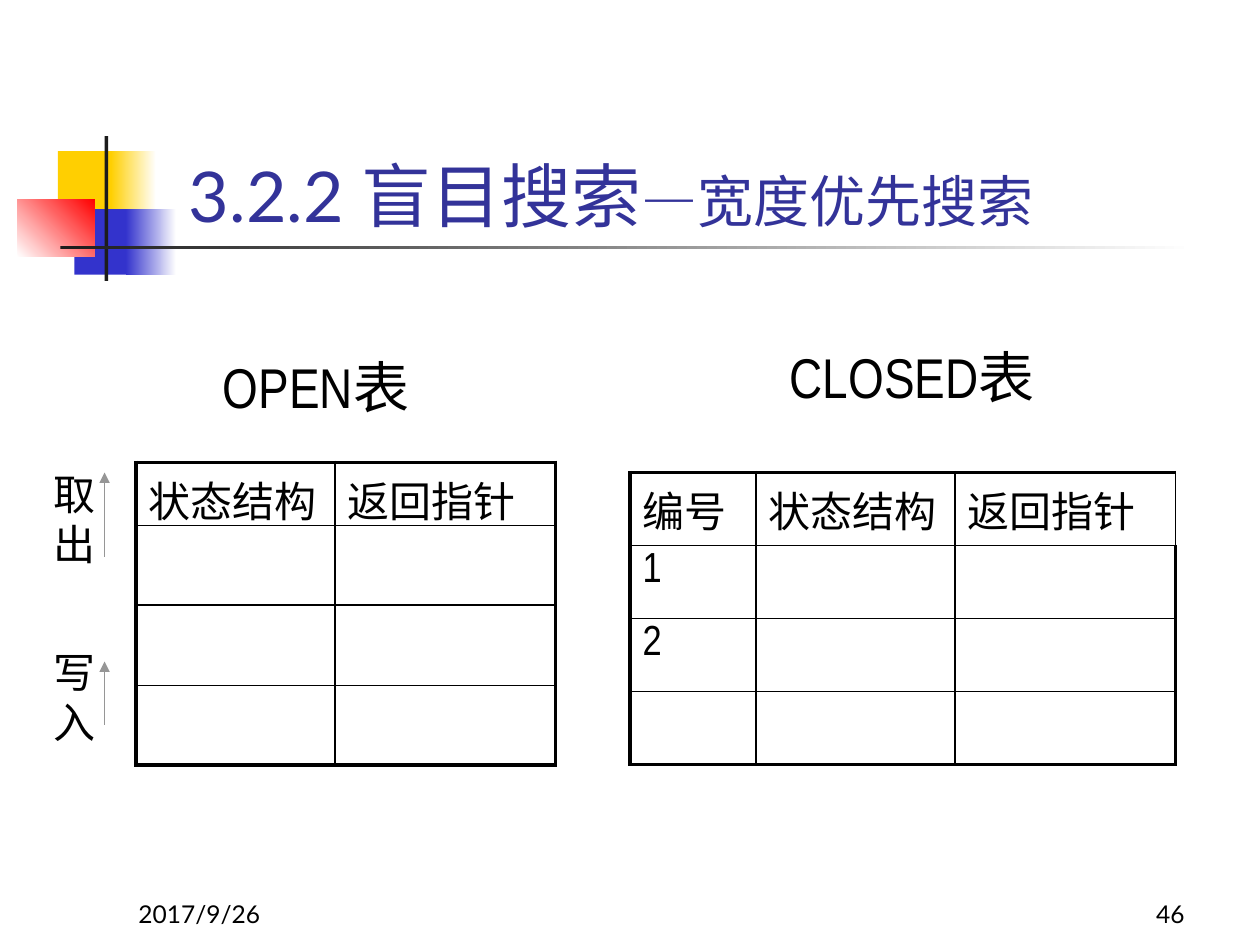
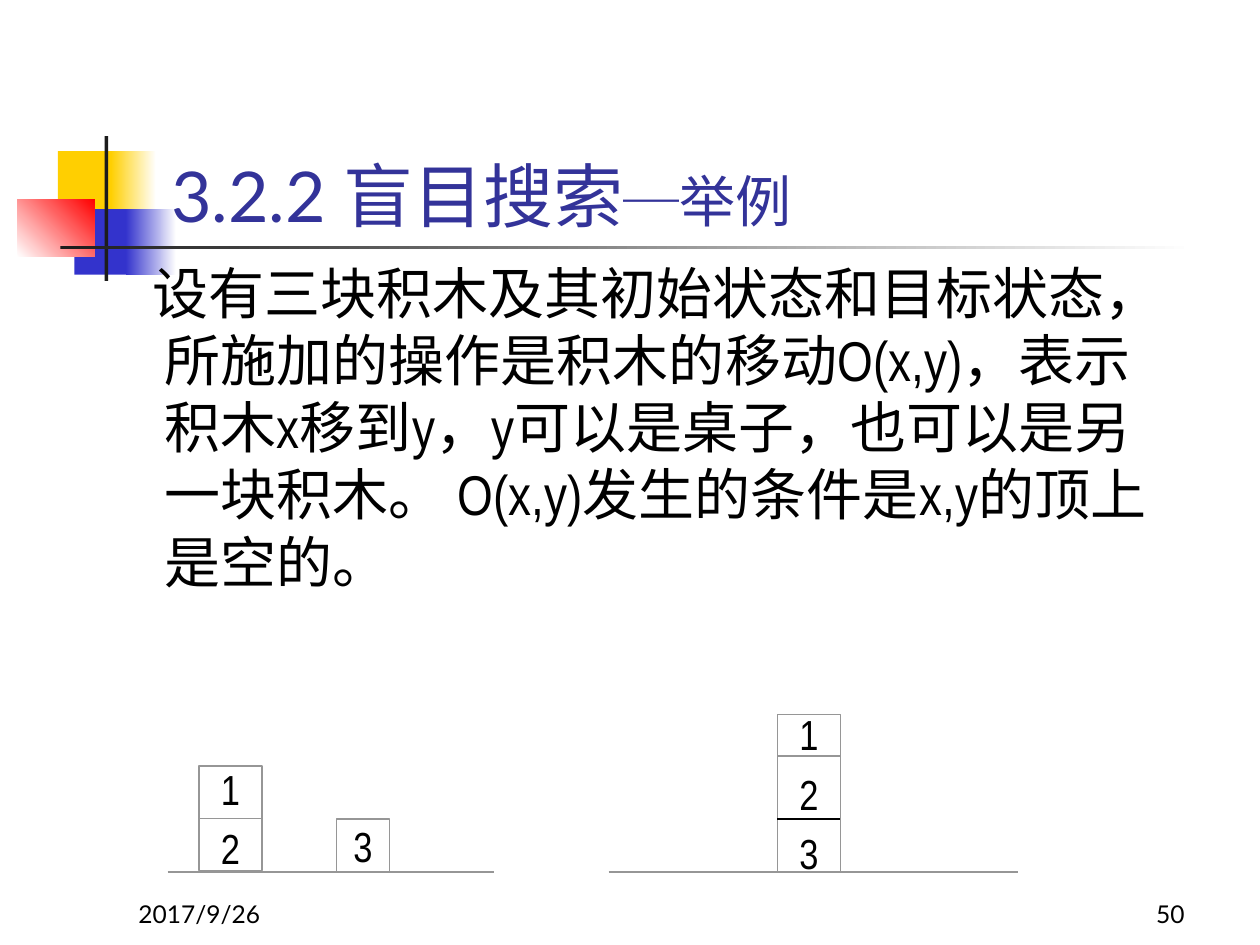
import pptx
import pptx.util
import pptx.dml.color
import pptx.enum.shapes
import pptx.enum.text
import pptx.oxml
import pptx.oxml.ns
from pptx.util import Inches

NARROW, LATO = "Arial Narrow", "Lato"
BLACK, WHITE, INK, GREY = "000000", "FFFFFF", "1C1C1C", "969696"
YELLOW, BLUE, RED, TITLE = "FFCF01", "3333CC", "FF0000", "333399"
THIN, THICK = 1, 2.25
ALIGN = pptx.enum.text.PP_ALIGN
ANCHOR = pptx.enum.text.MSO_ANCHOR
RECT = pptx.enum.shapes.MSO_SHAPE.RECTANGLE
STRAIGHT = pptx.enum.shapes.MSO_CONNECTOR.STRAIGHT


def rgb(color):
    return pptx.dml.color.RGBColor.from_string(color)


def element(xml):
    tag, rest = xml.split(" ", 1)
    return pptx.oxml.parse_xml(f'<a:{tag} {pptx.oxml.ns.nsdecls("a")} {rest}')


class Deck:
    def __init__(self):
        self.prs = pptx.Presentation()
        self.prs.slide_width, self.prs.slide_height = Inches(10), Inches(7.5)
        self.s = None

    def slide(self, number, heading, topic):
        self.s = self.prs.slides.add_slide(self.prs.slide_layouts[6])
        self.rect(0.46, 1.2, 0.48, 0.52, YELLOW)
        self.rect(0.88, 1.2, 0.36, 0.52, YELLOW, WHITE)
        self.rect(0.59, 1.66, 0.46, 0.52, BLUE)
        self.rect(1, 1.66, 0.4, 0.52, BLUE, WHITE)
        self.rect(0.14, 1.58, 0.61, 0.46, WHITE, RED, 45)
        self.rect(0.83, 1.08, 0.03, 1.15, INK)
        self.rect(0.48, 1.95, 9, 0.03, INK, WHITE)
        self.text(1, 6.92, 2.08, 0.5, "2017/9/26", 14, LATO, anchor=ANCHOR.BOTTOM)
        self.text(7.42, 6.92, 2.08, 0.5, number, 14, LATO,
                  align=ALIGN.RIGHT, anchor=ANCHOR.BOTTOM)
        p = self.text(1.26, 0.68, 8.52, 1.25, heading, 40, LATO, TITLE,
                      anchor=ANCHOR.BOTTOM)
        r = p.add_run()
        r.text = topic
        self.font(r, 32, LATO, TITLE)

    def font(self, r, size, name=NARROW, color=BLACK):
        r.font.size, r.font.name = pptx.util.Pt(size), name
        r.font.color.rgb = rgb(color)

    def rect(self, x, y, w, h, color=None, end=None, angle=0):
        sp = self.s.shapes.add_shape(RECT, Inches(x), Inches(y), Inches(w), Inches(h))
        sp.shadow.inherit = False
        sp.line.fill.background()
        if end:
            sp.fill.gradient()
            sp.fill.gradient_angle = angle
            for stop, shade in zip(sp.fill.gradient_stops, (color, end)):
                stop.color.rgb = rgb(shade)
        elif color:
            sp.fill.solid()
            sp.fill.fore_color.rgb = rgb(color)
        else:
            sp.fill.background()
        return sp

    def text(self, x, y, w, h, text, size, name=NARROW, color=BLACK,
             align=ALIGN.LEFT, anchor=ANCHOR.TOP):
        sp = self.s.shapes.add_textbox(Inches(x), Inches(y), Inches(w), Inches(h))
        tf = sp.text_frame
        tf.word_wrap, tf.vertical_anchor = True, anchor
        tf.text = text
        p = tf.paragraphs[0]
        p.alignment = align
        self.font(p.runs[0], size, name, color)
        return p

    def hanging(self, p, margin, first):
        pPr = p._p.get_or_add_pPr()
        pPr.set("marL", str(Inches(margin)))
        pPr.set("indent", str(Inches(first)))

    def blocks(self, x, y, w, h, labels):
        sp = self.rect(x, y, w, h)
        sp.line.color.rgb, sp.line.width = rgb(GREY), pptx.util.Pt(0.75)
        tf = sp.text_frame
        tf.word_wrap, tf.vertical_anchor = False, ANCHOR.MIDDLE
        tf.text = "\n".join(labels)
        for i, p in enumerate(tf.paragraphs):
            p.alignment = ALIGN.CENTER
            p.space_before = pptx.util.Pt(5 if i else 0)
            self.font(p.runs[0], 24)
        return sp

    def line(self, x1, y1, x2, y2, color=GREY, arrow=False):
        c = self.s.shapes.add_connector(STRAIGHT, Inches(x1), Inches(y1),
                                        Inches(x2), Inches(y2))
        c.line.color.rgb, c.line.width = rgb(color), pptx.util.Pt(0.75)
        if arrow:
            c.line._get_or_add_ln().append(element('tailEnd type="triangle"/>'))
        c._element.spPr.append(element("effectLst />"))
        return c

    def border(self, cell, side, width):
        cell._tc.get_or_add_tcPr().append(element(
            f'ln{side} w="{pptx.util.Pt(width)}"><a:solidFill>'
            f'<a:srgbClr val="{BLACK}"/></a:solidFill></a:ln{side}>'))

    def table(self, x, y, widths, heights, rows, corner=THICK):
        n, m = len(heights), len(widths)
        t = self.s.shapes.add_table(n, m, Inches(x), Inches(y), Inches(sum(widths)),
                                    Inches(sum(heights))).table
        t.first_row = t.horz_banding = False
        for column, width in zip(t.columns, widths):
            column.width = Inches(width)
        for row, height in zip(t.rows, heights):
            row.height = Inches(height)
        for i in range(n):
            for j in range(m):
                cell = t.cell(i, j)
                right = corner if i == 0 else THICK
                for side, outer, width in (("L", j == 0, THICK), ("R", j == m - 1, right),
                                           ("T", i == 0, THICK), ("B", i == n - 1, THICK)):
                    self.border(cell, side, width if outer else THIN)
                cell.fill.background()
        for i, row in enumerate(rows):
            for j, label in enumerate(row):
                tf = t.cell(i, j).text_frame
                tf.text = label
                p = tf.paragraphs[0]
                p.space_before = pptx.util.Pt(0 if i else 5)
                self.font(p.runs[0], 24)


def search_tables(deck):
    deck.slide("46", " 3.2.2 盲目搜索", "—宽度优先搜索")
    header = ["状态结构", "返回指针"]
    deck.table(1.08, 3.67, [1.58, 1.75], [0.5, 0.63, 0.64, 0.63], [header])
    deck.text(1.67, 2.75, 2.33, 0.63, "OPEN表", 32)
    deck.text(0.33, 3.67, 0.58, 0.9, "取出", 24)
    deck.text(0.33, 5.08, 0.67, 0.9, "写入", 24)
    for start, end in ((5.75, 5.25), (4.42, 3.75)):
        deck.line(0.83, start, 0.83, end, arrow=True)
    deck.table(5, 3.75, [1, 1.58, 1.75], [0.58] * 4,
               [["编号"] + header, ["1"], ["2"]], corner=THIN)
    deck.text(6.17, 2.67, 2.42, 0.63, "CLOSED表", 32)


def block_example(deck):
    deck.slide("50", "3.2.2 盲目搜索", "─举例")
    p = deck.text(0.83, 2, 8.5, 2.83,
                  "设有三块积木及其初始状态和目标状态，所施加的操作是积木的移动O(x,y)，"
                  "表示积木x移到y，y可以是桌子，也可以是另一块积木。 "
                  "O(x,y)发生的条件是x,y的顶上是空的。", 32)
    deck.hanging(p, 0.38, -0.1)
    for left, right in ((1.33, 3.92), (4.83, 8.08)):
        deck.line(left, 6.92, right, 6.92)
    pair = deck.blocks(1.58, 6.08, 0.5, 0.83, "12")
    deck.blocks(2.67, 6.5, 0.42, 0.42, "3")
    divider = deck.line(1.58, 6.5, 2.08, 6.5)
    divider.begin_connect(pair, 1)
    divider.end_connect(pair, 3)
    deck.blocks(6.17, 5.67, 0.5, 1.25, "123")
    for y, color in ((6, GREY), (6.5, BLACK)):
        deck.line(6.17, y, 6.67, y, color)


def main():
    deck = Deck()
    search_tables(deck)
    block_example(deck)
    deck.prs.save("out.pptx")


if __name__ == "__main__":
    main()
